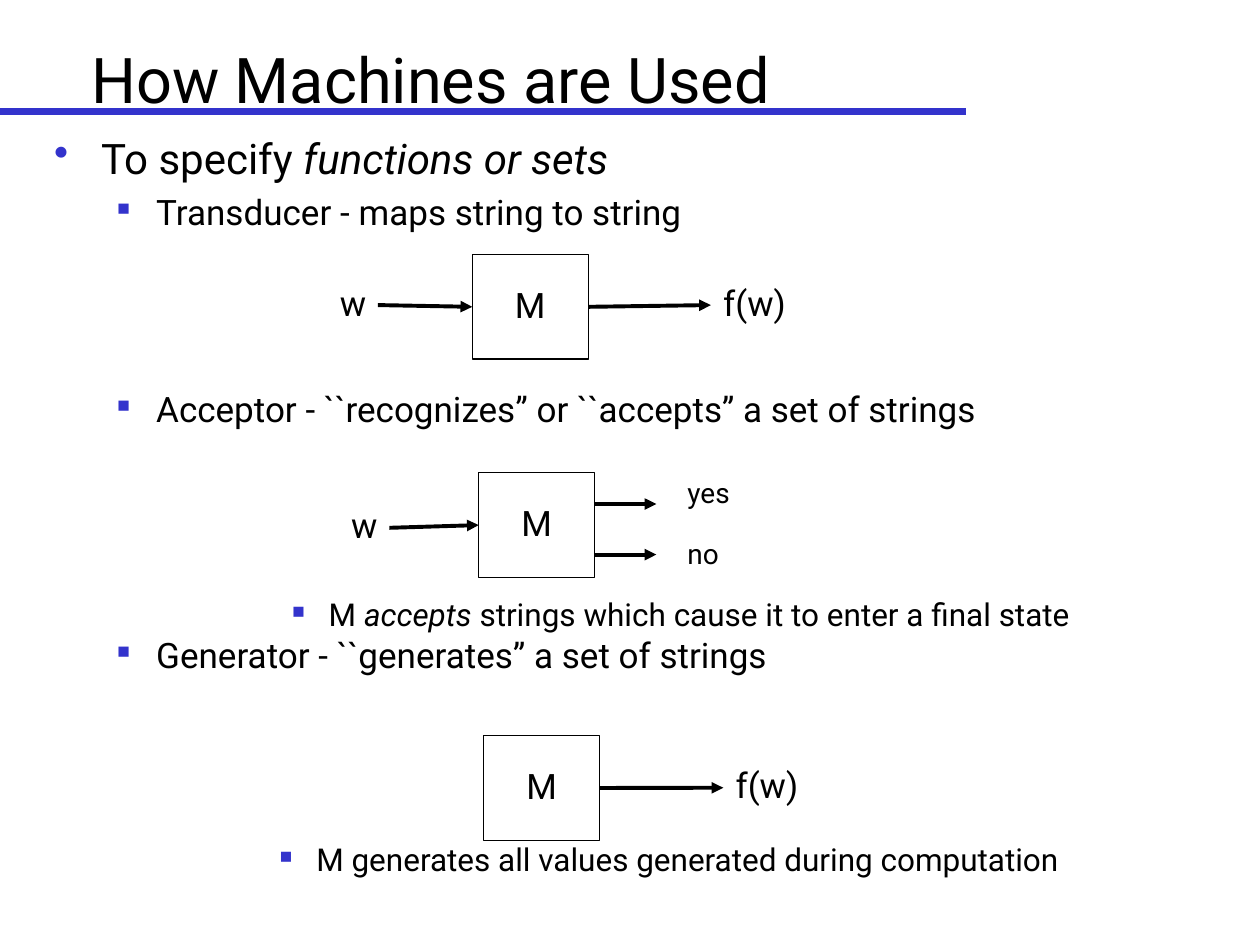
from lxml import etree
from pptx import Presentation
from pptx.dml.color import RGBColor
from pptx.enum.shapes import MSO_CONNECTOR, MSO_SHAPE
from pptx.enum.text import MSO_ANCHOR, MSO_AUTO_SIZE, PP_ALIGN
from pptx.oxml.ns import qn
from pptx.util import Cm, Pt

RECT = MSO_SHAPE.RECTANGLE
LINE = MSO_CONNECTOR.STRAIGHT
MIDDLE = MSO_ANCHOR.MIDDLE
CENTER = PP_ALIGN.CENTER
LEFT = PP_ALIGN.LEFT
FIXED = MSO_AUTO_SIZE.NONE
WEST, EAST = 1, 3
FONT = "Roboto"
HEX = {"ink": "000000", "paper": "FFFFFF", "accent": "3333CC"}


def color(name):
    return RGBColor.from_string(HEX[name])


def add_run(para, text, size, italic=False):
    run = para.add_run()
    run.text = text
    run.font.name = FONT
    run.font.size = Pt(size)
    run.font.italic = italic
    run.font.color.rgb = color("ink")


def set_bullet(para, mark, left, hang, scale):
    props = para._p.get_or_add_pPr()
    props.set("marL", str(Cm(left)))
    props.set("indent", str(-Cm(hang)))
    tint = etree.SubElement(props, qn("a:buClr"))
    etree.SubElement(tint, qn("a:srgbClr"), val=HEX["accent"])
    etree.SubElement(props, qn("a:buSzPct"), val=str(scale * 1000))
    etree.SubElement(props, qn("a:buChar"), char=mark)


def add_frame(slide, x, y, w, h, wrap=True):
    frame = slide.shapes.add_textbox(Cm(x), Cm(y), Cm(w), Cm(h)).text_frame
    frame.word_wrap = wrap
    frame.auto_size = FIXED
    return frame


def add_title(slide, text):
    title = slide.shapes.title
    title.left, title.top = Cm(1.27), Cm(0.53)
    title.width, title.height = Cm(23.5), Cm(2.11)
    frame = title.text_frame
    frame.auto_size = FIXED
    frame.vertical_anchor = MIDDLE
    para = frame.paragraphs[0]
    para.alignment = LEFT
    add_run(para, text, 36)


def add_body(slide):
    frame = add_frame(slide, 0.84, 2.54, 23.5, 15.04)
    para = frame.paragraphs[0]
    set_bullet(para, "•", 0.95, 0.95, 100)
    add_run(para, "To specify ", 24)
    add_run(para, "functions or sets", 24, True)
    for text, gap in (
        ("Transducer - maps string to string", 4.5),
        ("Acceptor - ``recognizes” or ``accepts’’ a set of strings", 88.5),
        ("Generator - ``generates” a set of strings", 116.5),
    ):
        para = frame.add_paragraph()
        para.level = 1
        para.space_before = Pt(gap)
        set_bullet(para, "■", 2.06, 0.79, 50)
        add_run(para, text, 20)


def add_label(slide, text, x, y, w, h, size=20):
    para = add_frame(slide, x, y, w, h, False).paragraphs[0]
    para.line_spacing = 0.9
    add_run(para, text, size)


def add_note(slide, x, y, w, parts):
    para = add_frame(slide, x, y, w, 0.94).paragraphs[0]
    para.line_spacing = 0.9
    set_bullet(para, "■", 1.22, 0.58, 55)
    for text, italic in parts:
        add_run(para, text, 18, italic)


def add_box(slide, x, y):
    box = slide.shapes.add_shape(RECT, Cm(x), Cm(y), Cm(2.34), Cm(2.11))
    box.shadow.inherit = False
    box.fill.solid()
    box.fill.fore_color.rgb = color("paper")
    box.line.color.rgb = color("ink")
    box.line.width = Pt(0.75)
    frame = box.text_frame
    frame.word_wrap = False
    frame.vertical_anchor = MIDDLE
    para = frame.paragraphs[0]
    para.alignment = CENTER
    para.line_spacing = 0.9
    add_run(para, "M", 20)
    return box


def add_line(slide, x1, y1, x2, y2, tint="ink", width=2.25):
    line = slide.shapes.add_connector(LINE, Cm(x1), Cm(y1), Cm(x2), Cm(y2))
    line.line.color.rgb = color(tint)
    line.line.width = Pt(width)
    etree.SubElement(line._element.spPr, qn("a:effectLst"))
    return line


def add_arrow(slide, x1, y1, x2, y2):
    line = add_line(slide, x1, y1, x2, y2)
    etree.SubElement(line.line._get_or_add_ln(), qn("a:tailEnd"), type="triangle")
    return line


def add_input(slide, box, x, y):
    add_label(slide, "w", x, y, 1.02, 1.02)
    mid = y + 0.51
    arrow = add_arrow(slide, x + 1.02, mid, x + 3, mid)
    arrow.end_connect(box, WEST)


def add_output(slide, box, x, y):
    add_label(slide, "f(w)", x, y, 2.13, 1.02)
    mid = y + 0.51
    arrow = add_arrow(slide, x - 2.5, mid, x, mid)
    arrow.begin_connect(box, EAST)


def main():
    deck = Presentation()
    deck.slide_width, deck.slide_height = Cm(25.4), Cm(19.05)
    slide = deck.slides.add_slide(deck.slide_layouts[5])
    add_line(slide, 0, 2.24, 19.48, 2.24, "accent", 4)
    add_title(slide, " How Machines are Used")
    add_body(slide)

    mapper = add_box(slide, 9.52, 5.13)
    add_input(slide, mapper, 6.6, 5.64)
    add_output(slide, mapper, 14.33, 5.64)

    tester = add_box(slide, 9.65, 9.53)
    add_input(slide, tester, 6.83, 10.13)
    for text, top, mid in (("yes", 9.53, 10.16), ("no", 10.77, 11.18)):
        add_arrow(slide, 11.97, mid, 13.23, mid)
        add_label(slide, text, 13.61, top, 1.4, 0.86, 16)
    add_note(slide, 5, 11.96, 17.07, (
        (" M ", False),
        ("accepts", True),
        (" strings which cause it to enter a final state", False),
    ))

    maker = add_box(slide, 9.75, 14.83)
    add_output(slide, maker, 14.58, 15.37)
    add_note(slide, 4.75, 16.89, 17.37, (
        (" M generates all values generated during computation", False),
    ))
    deck.save("out.pptx")


if __name__ == "__main__":
    main()
